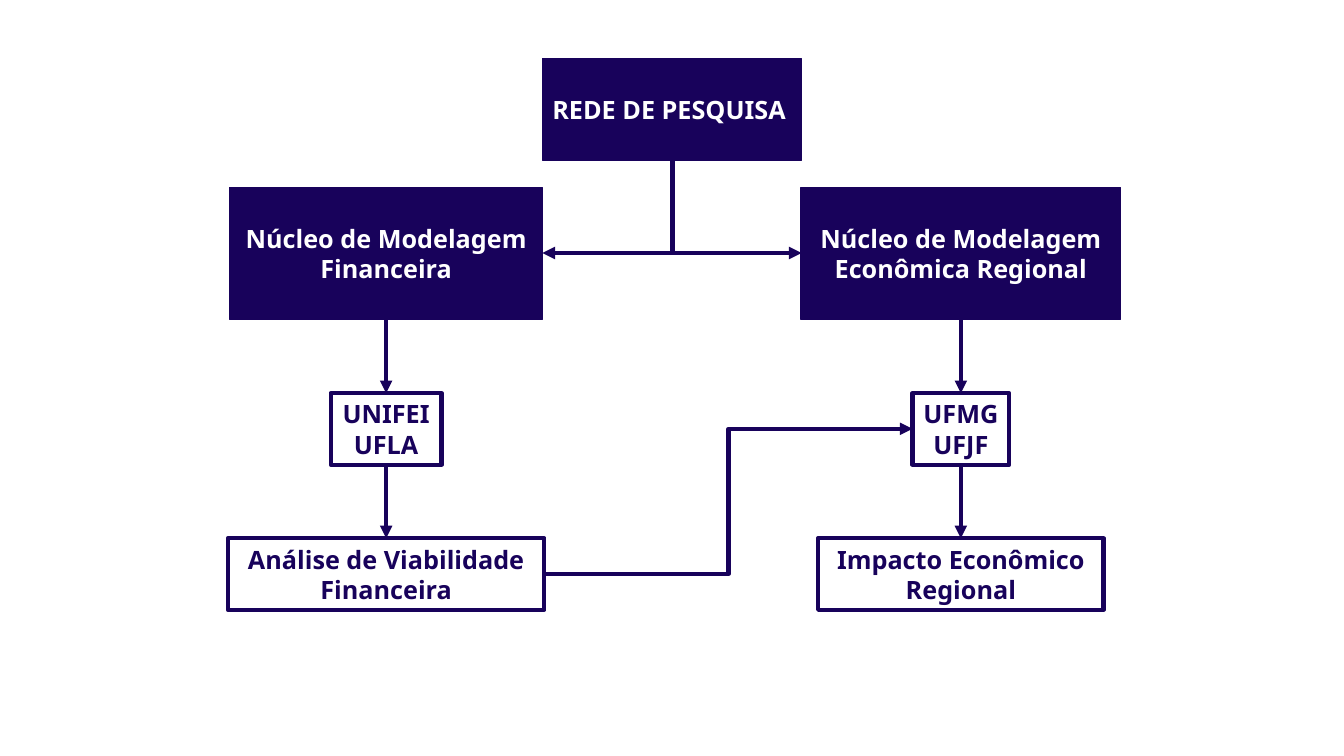
from dataclasses import dataclass

from lxml.etree import SubElement
from pptx import Presentation
from pptx.dml.color import RGBColor
from pptx.enum.shapes import MSO_CONNECTOR, MSO_SHAPE
from pptx.enum.text import MSO_ANCHOR, PP_ALIGN
from pptx.oxml.ns import qn
from pptx.util import Inches, Pt


@dataclass(frozen=True)
class Theme:
    navy: RGBColor = RGBColor(0x18, 0x02, 0x5B)
    white: RGBColor = RGBColor(0xFF, 0xFF, 0xFF)
    font: str = "Noto Sans"
    text_size: Pt = Pt(18)
    thin: Pt = Pt(0.75)
    thick: Pt = Pt(3)


class Chart:
    def __init__(self, page, theme):
        self.page = page
        self.theme = theme

    def box(self, left, top, width, height, text, filled=False, align=PP_ALIGN.CENTER):
        theme = self.theme
        box = self.page.shapes.add_shape(
            MSO_SHAPE.RECTANGLE, Inches(left), Inches(top), Inches(width), Inches(height)
        )
        box.shadow.inherit = False
        box.fill.solid()
        box.fill.fore_color.rgb = theme.navy if filled else theme.white
        box.line.color.rgb = theme.navy
        box.line.width = theme.thin if filled else theme.thick
        frame = box.text_frame
        frame.word_wrap = False
        frame.vertical_anchor = MSO_ANCHOR.MIDDLE
        frame.text = text
        for para in frame.paragraphs:
            para.alignment = align
            for span in para.runs:
                span.font.name = theme.font
                span.font.size = theme.text_size
                span.font.bold = True
                span.font.color.rgb = theme.white if filled else theme.navy

    def connect(self, start, end, heads=("tailEnd",), kind=MSO_CONNECTOR.STRAIGHT):
        points = [Inches(value) for value in (*start, *end)]
        connector = self.page.shapes.add_connector(kind, *points)
        connector.line.color.rgb = self.theme.navy
        connector.line.width = self.theme.thick
        properties = connector._element.spPr
        SubElement(properties, qn("a:effectLst"))
        outline = properties.find(qn("a:ln"))
        for head in heads:
            SubElement(outline, qn(f"a:{head}"), type="triangle")


def main():
    deck = Presentation()
    deck.slide_width = Inches(13.33)
    deck.slide_height = Inches(7.5)
    page = deck.slides.add_slide(deck.slide_layouts[6])
    chart = Chart(page, Theme())

    root_x, finance_x, regional_x = 6.67, 3.83, 9.53
    root_bottom, core_top, core_middle, core_bottom = 1.59, 1.86, 2.51, 3.17
    school_top, result_top, small_height = 3.9, 5.34, 0.71

    chart.box(5.38, 0.58, 2.57, 1.01, "REDE DE PESQUISA", True, PP_ALIGN.LEFT)
    chart.connect((root_x, root_bottom), (root_x, core_middle), heads=())
    chart.connect((5.38, core_middle), (7.95, core_middle), heads=("headEnd", "tailEnd"))

    branches = [
        (
            finance_x,
            (3.1, "Núcleo de Modelagem\nFinanceira"),
            (1.1, "UNIFEI\nUFLA"),
            (3.14, "Análise de Viabilidade\nFinanceira"),
        ),
        (
            regional_x,
            (3.17, "Núcleo de Modelagem\nEconômica Regional"),
            (0.96, "UFMG\nUFJF"),
            (2.83, "Impacto Econômico\nRegional"),
        ),
    ]
    levels = [
        (core_top, core_bottom - core_top, True),
        (school_top, small_height, False),
        (result_top, small_height, False),
    ]
    for center, *nodes in branches:
        for (width, text), (top, height, filled) in zip(nodes, levels):
            chart.box(center - width / 2, top, width, height, text, filled)
        for (top, height, _), (next_top, _, _) in zip(levels, levels[1:]):
            chart.connect((center, top + height), (center, next_top))

    chart.connect(
        (5.4, result_top + small_height / 2),
        (9.05, school_top + small_height / 2),
        kind=MSO_CONNECTOR.ELBOW,
    )
    deck.save("out.pptx")


if __name__ == "__main__":
    main()
